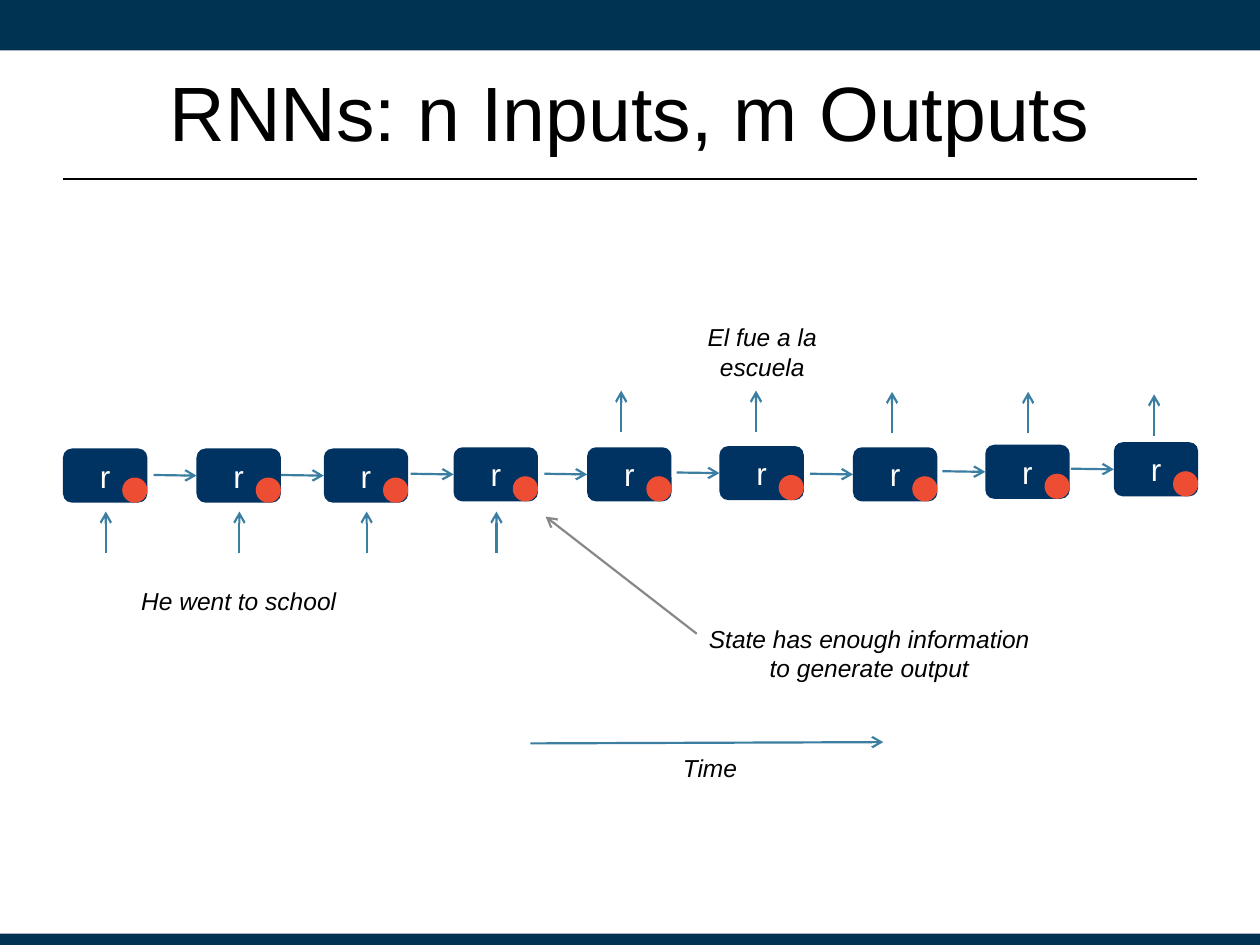
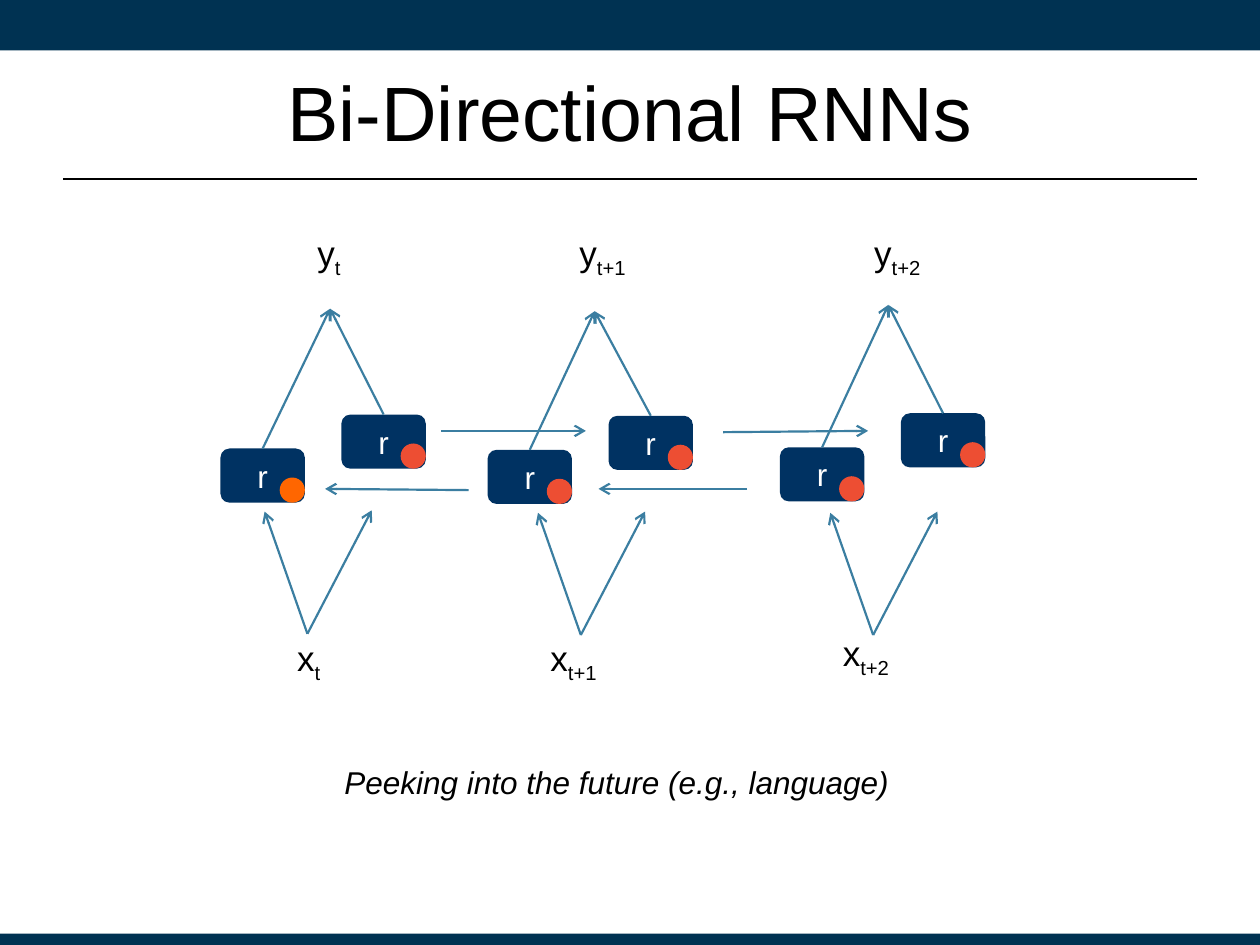
"""Build two slides on recurrent networks: sequence to sequence, and bi-directional."""
from dataclasses import dataclass
from typing import Any, NamedTuple

from lxml import etree
from pptx import Presentation
from pptx.dml.color import RGBColor
from pptx.enum.shapes import MSO_CONNECTOR, MSO_SHAPE
from pptx.enum.text import MSO_ANCHOR, PP_ALIGN
from pptx.oxml.ns import qn
from pptx.util import Pt

PX = 9144
STRAIGHT = MSO_CONNECTOR.STRAIGHT
RECT, ROUNDED, OVAL = MSO_SHAPE.RECTANGLE, MSO_SHAPE.ROUNDED_RECTANGLE, MSO_SHAPE.OVAL
MIDDLE, BOTTOM = MSO_ANCHOR.MIDDLE, MSO_ANCHOR.BOTTOM
CENTER, LEFT = PP_ALIGN.CENTER, PP_ALIGN.LEFT
TOP_SIDE, LEFT_SIDE = 0, 1
TITLE_ONLY = 5
FONT = "Arial"
COLORS = {
    "band": "003252", "cell": "003262", "state": "ED4E33", "first_state": "FF6600",
    "arrow": "3B7EA1", "callout": "888888", "text": "000000", "white": "FFFFFF",
}
TITLE_FORMAT = {"size": Pt(44), "name": FONT}
CELL_FORMAT = {"size": Pt(18), "name": FONT}
NOTE_FORMAT = {"size": Pt(14), "name": FONT, "italic": True}
CAPTION_FORMAT = {"size": Pt(18), "name": FONT, "italic": True}
SYMBOL_FORMAT = {"size": Pt(20), "name": FONT}
BOX_FORMAT = {"word_wrap": True, "margin_left": 10 * PX, "margin_right": 10 * PX,
              "margin_top": 10 * PX, "margin_bottom": 10 * PX}
CELL_W, CELL_H, DOT = 67, 43, 20
CHAIN_GAP = 34


class Point(NamedTuple):
    """A place on the slide in px."""
    x: int
    y: int

    def shift(self, dx: int, dy: int) -> "Point":
        """Return the point moved by an offset."""
        return Point(self.x + dx, self.y + dy)


class Box(NamedTuple):
    """Left, top, width and height in px."""
    x: int
    y: int
    w: int
    h: int

    def emu(self) -> list[int]:
        """Return the four lengths in EMU."""
        return [v * PX for v in self]


@dataclass
class Note:
    """An italic text in a box."""
    text: str
    box: Box


@dataclass
class Step:
    """One time step of the bi-directional network."""
    index: str
    cell: Point
    peak: Point
    root: Point
    output: Box
    input: Box
    state: str = "state"


INPUT_CELLS = [Point(50, 356), Point(156, 356), Point(257, 356), Point(360, 355)]
OUTPUT_CELLS = [Point(466, 355), Point(571, 354), Point(677, 355), Point(782, 353),
                Point(884, 351)]
OUTPUT_ARROWS = [Point(493, 343), Point(600, 343), Point(708, 344), Point(816, 344),
                 Point(916, 346)]
NOTES = [
    Note("Time", Box(525, 591, 77, 36)),
    Note("He went to school", Box(100, 460, 179, 33)),
    Note("State has enough information to generate output", Box(550, 489, 280, 59)),
    Note("El fue a la escuela", Box(517, 262, 176, 34)),
]
STEPS = [
    Step("t", Point(175, 356), Point(262, 245), Point(244, 503),
         Box(242, 190, 45, 42), Box(226, 511, 45, 42), "first_state"),
    Step("t+1", Point(387, 357), Point(472, 247), Point(461, 504),
         Box(450, 190, 79, 42), Box(427, 511, 96, 42)),
    Step("t+2", Point(619, 355), Point(705, 242), Point(693, 504),
         Box(684, 190, 84, 42), Box(659, 507, 68, 42)),
]
TIME_LINKS = [
    (Point(350, 342), Point(465, 342)), (Point(574, 343), Point(689, 342)),
    (Point(593, 388), Point(475, 388)), (Point(372, 389), Point(258, 388)),
]


def rgb(color: str) -> RGBColor:
    """Look up a named colour."""
    return RGBColor.from_string(COLORS[color])


def apply(target: Any, values: dict[str, Any]) -> None:
    """Set every attribute in a dict of format values."""
    for name, value in values.items():
        setattr(target, name, value)


def add_run(p: Any, text: str, values: dict[str, Any], color: str = "text") -> Any:
    """Append a formatted run to a paragraph."""
    r = p.add_run()
    r.text = text
    apply(r.font, values)
    r.font.color.rgb = rgb(color)
    return r


def add_block(s: Any, kind: Any, box: Box, color: str) -> Any:
    """Draw a filled shape without line or shadow."""
    sp = s.shapes.add_shape(kind, *box.emu())
    sp.shadow.inherit = False
    sp.fill.solid()
    sp.fill.fore_color.rgb = rgb(color)
    sp.line.fill.background()
    return sp


def add_line(s: Any, start: Point, end: Point, color: str) -> Any:
    """Draw a thin straight line without a shadow."""
    cn = s.shapes.add_connector(STRAIGHT, *[v * PX for v in (*start, *end)])
    cn.line.color.rgb = rgb(color)
    cn.line.width = Pt(1.25)
    etree.SubElement(cn.element.spPr, qn("a:effectLst"))
    return cn


def add_arrow(s: Any, start: Point, end: Point, color: str = "arrow") -> Any:
    """Draw a line with an open arrowhead at its end."""
    cn = add_line(s, start, end, color)
    ln = cn.element.spPr.find(qn("a:ln"))
    etree.SubElement(ln, qn("a:tailEnd"), type="arrow")
    return cn


def add_cell(s: Any, at: Point, state: str = "state") -> Any:
    """Draw a recurrent cell with its state dot."""
    sp = add_block(s, ROUNDED, Box(*at, CELL_W, CELL_H), "cell")
    tf = sp.text_frame
    tf.vertical_anchor = MIDDLE
    tf.paragraphs[0].alignment = CENTER
    add_run(tf.paragraphs[0], "r", CELL_FORMAT, "white")
    add_block(s, OVAL, Box(*at.shift(47, 23), DOT, DOT), state)
    return sp


def add_text(s: Any, box: Box, anchor: Any, align: Any) -> Any:
    """Add a wrapped text box and return its paragraph."""
    tf = s.shapes.add_textbox(*box.emu()).text_frame
    apply(tf, {**BOX_FORMAT, "vertical_anchor": anchor})
    p = tf.paragraphs[0]
    p.alignment = align
    return p


def add_note(s: Any, note: Note, values: dict[str, Any]) -> None:
    """Write a centred note."""
    add_run(add_text(s, note.box, MIDDLE, CENTER), note.text, values)


def add_symbol(s: Any, letter: str, index: str, box: Box) -> None:
    """Write a letter with a subscript."""
    p = add_text(s, box, BOTTOM, LEFT)
    add_run(p, letter, SYMBOL_FORMAT)
    r = add_run(p, index, SYMBOL_FORMAT)
    r.font._element.set("baseline", "-25000")


def add_slide(prs: Any, title: str) -> Any:
    """Add a slide with a formatted title."""
    s = prs.slides.add_slide(prs.slide_layouts[TITLE_ONLY])
    sp = s.shapes.title
    apply(sp, dict(zip(("left", "top", "width", "height"), Box(50, 25, 900, 125).emu())))
    tf = sp.text_frame
    tf.vertical_anchor = MIDDLE
    tf.paragraphs[0].alignment = CENTER
    add_run(tf.paragraphs[0], title, TITLE_FORMAT)
    return s


def move_frame_to_layout(s: Any) -> None:
    """Build the bands and the title rule, and keep them on the layout."""
    frame = [
        add_block(s, RECT, Box(0, 0, 1000, 40), "band"),
        add_block(s, RECT, Box(0, 741, 1000, 9), "band"),
        add_line(s, Point(50, 142), Point(950, 142), "text"),
    ]
    for number, sp in enumerate(frame, start=20):
        sp.element.xpath("./*/p:cNvPr")[0].set("id", str(number))
        s.slide_layout.shapes.element.append(sp.element)


def draw_sequence(s: Any) -> None:
    """Draw a chain that reads a sentence and then writes one."""
    places = INPUT_CELLS + OUTPUT_CELLS
    cells = [add_cell(s, at) for at in places]
    for at, cell in zip(places[1:], cells[1:]):
        side = at.shift(0, CELL_H // 2)
        add_arrow(s, side.shift(-CHAIN_GAP, 0), side).end_connect(cell, LEFT_SIDE)
    for at in INPUT_CELLS:
        foot = Point(at.x + 34, 439)
        add_arrow(s, foot, foot.shift(0, -33))
    for foot in OUTPUT_ARROWS:
        add_arrow(s, foot, foot.shift(0, -33))
    add_arrow(s, Point(421, 590), Point(701, 589))
    add_arrow(s, Point(553, 503), Point(433, 410), "callout")
    for note in NOTES:
        add_note(s, note, NOTE_FORMAT)


def draw_bidirectional(s: Any) -> None:
    """Draw paired cells that pass states both ways in time."""
    for step in STEPS:
        pair = ((step.cell, step.state), (step.cell.shift(96, -27), "state"))
        for at, state in pair:
            cell = add_cell(s, at, state)
            add_arrow(s, at, step.peak).begin_connect(cell, TOP_SIDE)
        for dx, dy in ((-34, -97), (51, -98)):
            add_arrow(s, step.root, step.root.shift(dx, dy))
        add_symbol(s, "y", step.index, step.output)
        add_symbol(s, "x", step.index, step.input)
    for start, end in TIME_LINKS:
        add_arrow(s, start, end)
    caption = Note("Peeking into the future (e.g., language)", Box(253, 596, 473, 49))
    add_note(s, caption, CAPTION_FORMAT)


def main() -> None:
    """Build and save the presentation."""
    prs = Presentation()
    prs.slide_width, prs.slide_height = 1000 * PX, 750 * PX
    s = add_slide(prs, "RNNs: n Inputs, m Outputs")
    move_frame_to_layout(s)
    draw_sequence(s)
    draw_bidirectional(add_slide(prs, "Bi-Directional RNNs"))
    prs.save("out.pptx")


if __name__ == "__main__":
    main()
